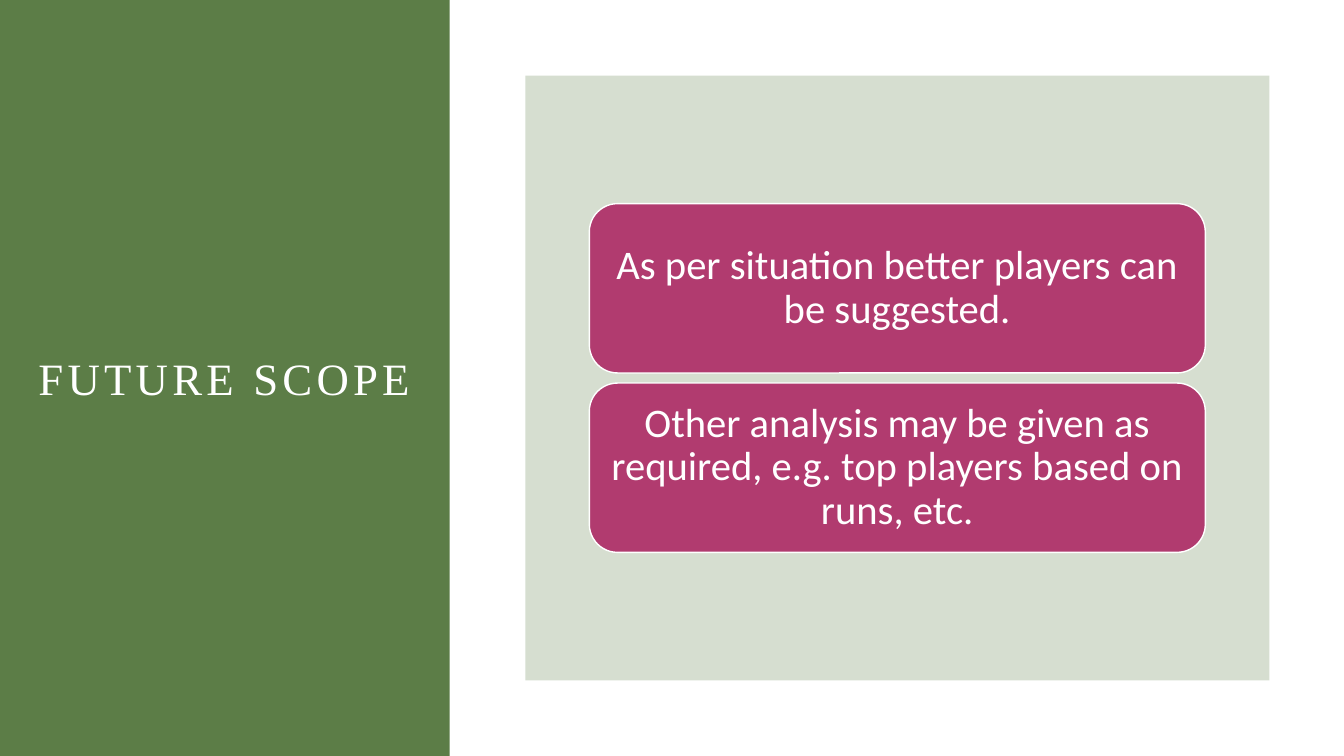
from lxml.etree import SubElement
from pptx import Presentation
from pptx.dml.color import RGBColor
from pptx.enum.shapes import MSO_SHAPE as SHAPE
from pptx.enum.text import MSO_ANCHOR as ANCHOR, PP_ALIGN as ALIGN
from pptx.oxml.ns import qn
from pptx.util import Inches, Pt

TITLE = "FUTURE SCOPE"
CARDS = [
    "As per situation better players can be suggested.",
    "Other analysis may be given as required, e.g. top players based on runs, etc.",
]
COLORS = {"green": "5C7D47", "magenta": "B13B6F", "white": "FFFFFF"}

SLIDE_W, SLIDE_H = 13.33, 7.5
SIDEBAR_W = 4.46
PANEL = (5.21, 0.75, 7.38, 6)
CARD_W, CARD_H, CARD_GAP = 6.11, 1.68, 0.1
CARD_LEFT, CARD_TOP = PANEL[0] + (PANEL[2] - CARD_W) / 2, 2.02
CARD_INSET = 0.12


def color(name):
    return RGBColor.from_string(COLORS[name])


def add_block(slide, kind, box, fill):
    s = slide.shapes.add_shape(kind, *map(Inches, box))
    s.shadow.inherit = False
    s.fill.solid()
    s.fill.fore_color.rgb = color(fill)
    s.line.fill.background()
    return s


def set_text(shape, text, font, size):
    tf = shape.text_frame
    tf.word_wrap = True
    tf.vertical_anchor = ANCHOR.MIDDLE
    tf.text = text
    p = tf.paragraphs[0]
    p.alignment = ALIGN.CENTER
    p.line_spacing = 0.9
    r = p.runs[0]
    r.font.name = font
    r.font.size = Pt(size)
    r.font.color.rgb = color("white")
    return r


def main():
    prs = Presentation()
    prs.slide_width, prs.slide_height = Inches(SLIDE_W), Inches(SLIDE_H)
    slide = prs.slides.add_slide(prs.slide_layouts[6])

    add_block(slide, SHAPE.RECTANGLE, (0, 0, SIDEBAR_W, SLIDE_H), "green")
    title = slide.shapes.add_textbox(*map(Inches, (0.21, 1.53, 4.03, 4.5)))
    r = set_text(title, TITLE, "Times New Roman", 32)
    r.font._element.set("spc", "300")

    panel = add_block(slide, SHAPE.RECTANGLE, PANEL, "green")
    fill_color = panel.fill._xPr.find(qn("a:solidFill"))[0]
    SubElement(fill_color, qn("a:alpha"), val="25000")

    for i, text in enumerate(CARDS):
        top = CARD_TOP + i * (CARD_H + CARD_GAP)
        card = add_block(slide, SHAPE.ROUNDED_RECTANGLE,
                         (CARD_LEFT, top, CARD_W, CARD_H), "magenta")
        card.line.color.rgb = color("white")
        card.line.width = Pt(1)
        tf = card.text_frame
        tf.margin_left = tf.margin_right = Inches(CARD_INSET)
        tf.margin_top = tf.margin_bottom = Inches(CARD_INSET)
        set_text(card, text, "Calibri", 29)

    prs.save("out.pptx")


if __name__ == "__main__":
    main()
